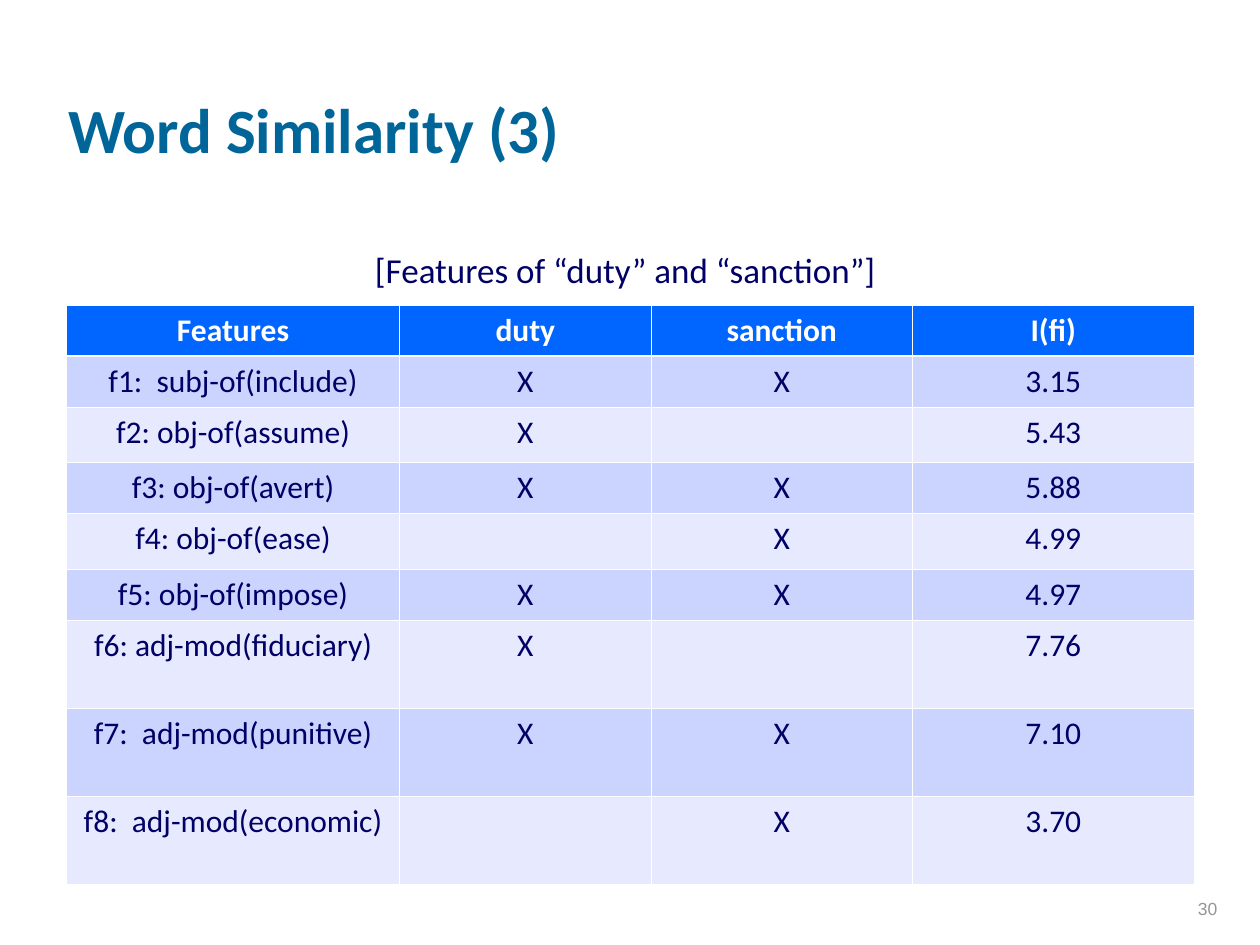
import dataclasses

import lxml.etree
import pptx
import pptx.dml.color
import pptx.enum.text
import pptx.oxml.ns
import pptx.util

Inches = pptx.util.Inches
Align = pptx.enum.text.PP_ALIGN
Anchor = pptx.enum.text.MSO_ANCHOR
AutoSize = pptx.enum.text.MSO_AUTO_SIZE


@dataclasses.dataclass(frozen=True)
class Theme:
    body_font: str = "Calibri"
    number_font: str = "Arial"
    title_color: str = "006699"
    text_color: str = "000066"
    number_color: str = "969696"
    white: str = "FFFFFF"
    header_fill: str = "0066FF"
    band_fills: tuple = ("CBD3FF", "E7EAFF")
    title_size: int = 36
    caption_size: int = 20
    table_size: int = 18
    number_size: int = 10
    thin_line: float = 0.45
    header_line: float = 1.47


class SlideBuilder:
    def __init__(self, theme, page):
        self.theme = theme
        self.page = page

    def style(self, para, size, color, align, font=None, bold=False):
        para.alignment = align
        para.font.name = font or self.theme.body_font
        para.font.size = pptx.util.Pt(size)
        para.font.bold = bold
        para.font.color.rgb = pptx.dml.color.RGBColor.from_string(color)

    def title(self, text, left, top, width, height):
        box = self.page.shapes.title
        box.left, box.top = Inches(left), Inches(top)
        box.width, box.height = Inches(width), Inches(height)
        frame = box.text_frame
        frame.text = text
        frame.auto_size = AutoSize.NONE
        frame.vertical_anchor = Anchor.BOTTOM
        self.style(frame.paragraphs[0], self.theme.title_size,
                   self.theme.title_color, Align.LEFT, bold=True)

    def text(self, text, left, top, width, height, size, color, align,
             font=None, anchor=Anchor.TOP, wrap=True):
        box = self.page.shapes.add_textbox(
            Inches(left), Inches(top), Inches(width), Inches(height))
        frame = box.text_frame
        frame.text = text
        frame.word_wrap = wrap
        frame.vertical_anchor = anchor
        self.style(frame.paragraphs[0], size, color, align, font)

    def border(self, cell, side, width):
        properties = cell._tc.get_or_add_tcPr()
        qn = pptx.oxml.ns.qn
        line = lxml.etree.SubElement(
            properties, qn(f"a:ln{side}"), w=str(int(pptx.util.Pt(width))))
        fill = lxml.etree.SubElement(line, qn("a:solidFill"))
        lxml.etree.SubElement(fill, qn("a:srgbClr"), val=self.theme.white)

    def cell(self, cell, text, row):
        theme = self.theme
        header = row == 0
        heavy_side = {0: "B", 1: "T"}.get(row)
        for side in "LRTB":
            self.border(cell, side, theme.header_line if side == heavy_side
                        else theme.thin_line)
        fill = theme.header_fill if header else theme.band_fills[(row - 1) % 2]
        cell.fill.solid()
        cell.fill.fore_color.rgb = pptx.dml.color.RGBColor.from_string(fill)
        cell.text = text
        self.style(cell.text_frame.paragraphs[0], theme.table_size,
                   theme.white if header else theme.text_color,
                   Align.CENTER, bold=header)

    def table(self, rows, left, top, widths, heights):
        table = self.page.shapes.add_table(
            len(rows), len(widths), Inches(left), Inches(top),
            Inches(sum(widths)), Inches(sum(heights))).table
        for column, width in zip(table.columns, widths):
            column.width = Inches(width)
        for row, (values, height) in enumerate(zip(rows, heights)):
            table.rows[row].height = Inches(height)
            for column, value in enumerate(values):
                self.cell(table.cell(row, column), value, row)


FEATURE_ROWS = [
    ("Features", "duty", "sanction", "I(fi)"),
    ("f1:  subj-of(include)", "X", "X", "3.15"),
    ("f2: obj-of(assume)", "X", "", "5.43"),
    ("f3: obj-of(avert)", "X", "X", "5.88"),
    ("f4: obj-of(ease)", "", "X", "4.99"),
    ("f5: obj-of(impose)", "X", "X", "4.97"),
    ("f6: adj-mod(fiduciary)", "X", "", "7.76"),
    ("f7:  adj-mod(punitive)", "X", "X", "7.10"),
    ("f8:  adj-mod(economic)", "", "X", "3.70"),
]


def row_height(values):
    if "adj-mod" in values[0]:
        return 0.7
    return 0.4 if all(values) else 0.44


def main():
    deck = pptx.Presentation()
    deck.slide_width, deck.slide_height = Inches(10), Inches(7.5)
    theme = Theme()
    builder = SlideBuilder(theme, deck.slides.add_slide(deck.slide_layouts[5]))
    builder.title("Word Similarity (3)", 0.44, 0.12, 8.97, 1.25)
    builder.table(FEATURE_ROWS, 0.53, 2.42, (2.64, 2, 2.07, 2.24),
                  [row_height(values) for values in FEATURE_ROWS])
    builder.text("30", 7.68, 6.84, 2.08, 0.5, theme.number_size,
                 theme.number_color, Align.RIGHT, theme.number_font,
                 Anchor.BOTTOM)
    builder.text("[Features of “duty” and “sanction”] ", 2.63, 1.92, 4.73, 0.44,
                 theme.caption_size, theme.text_color, Align.CENTER, wrap=False)
    deck.save("out.pptx")


if __name__ == "__main__":
    main()
